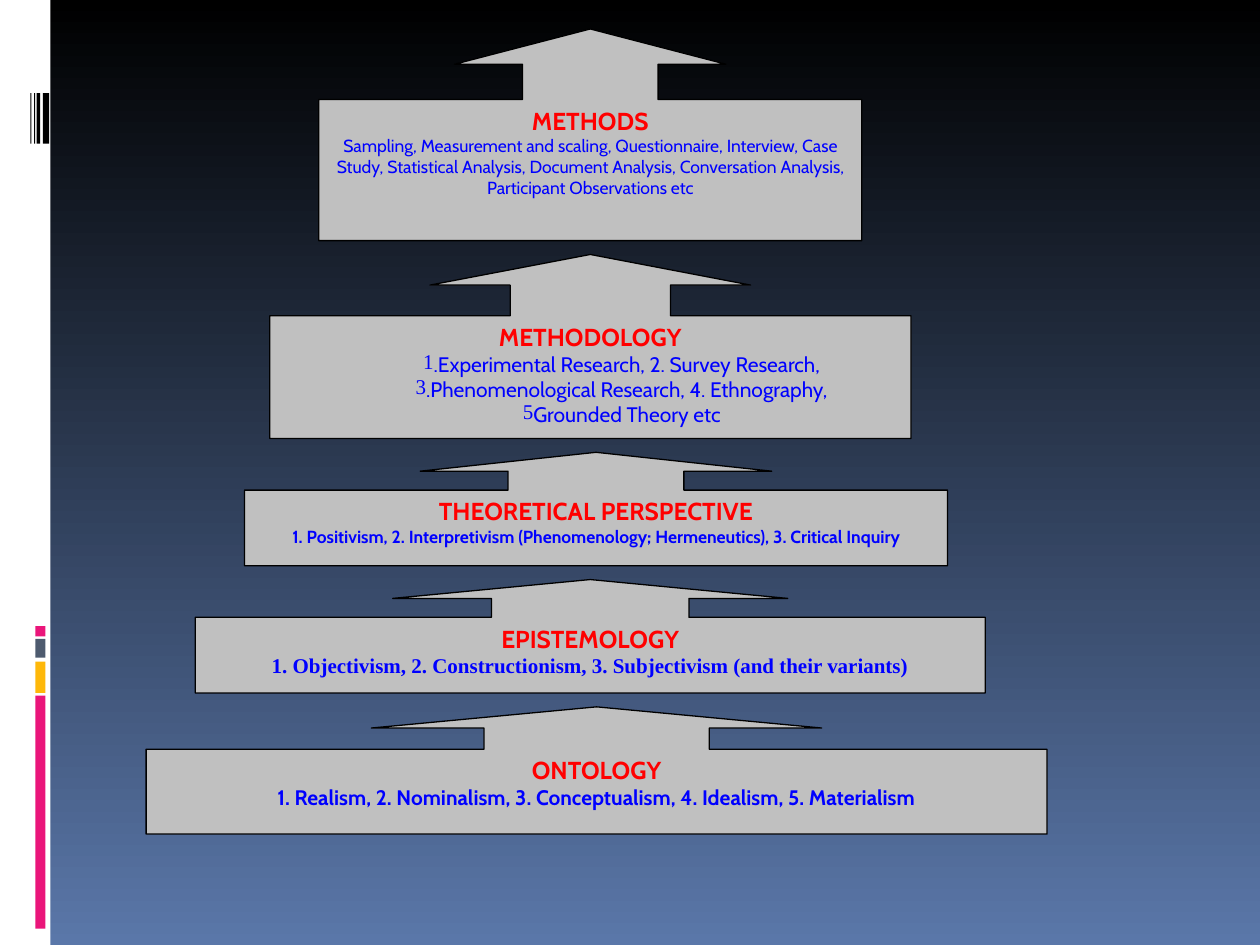
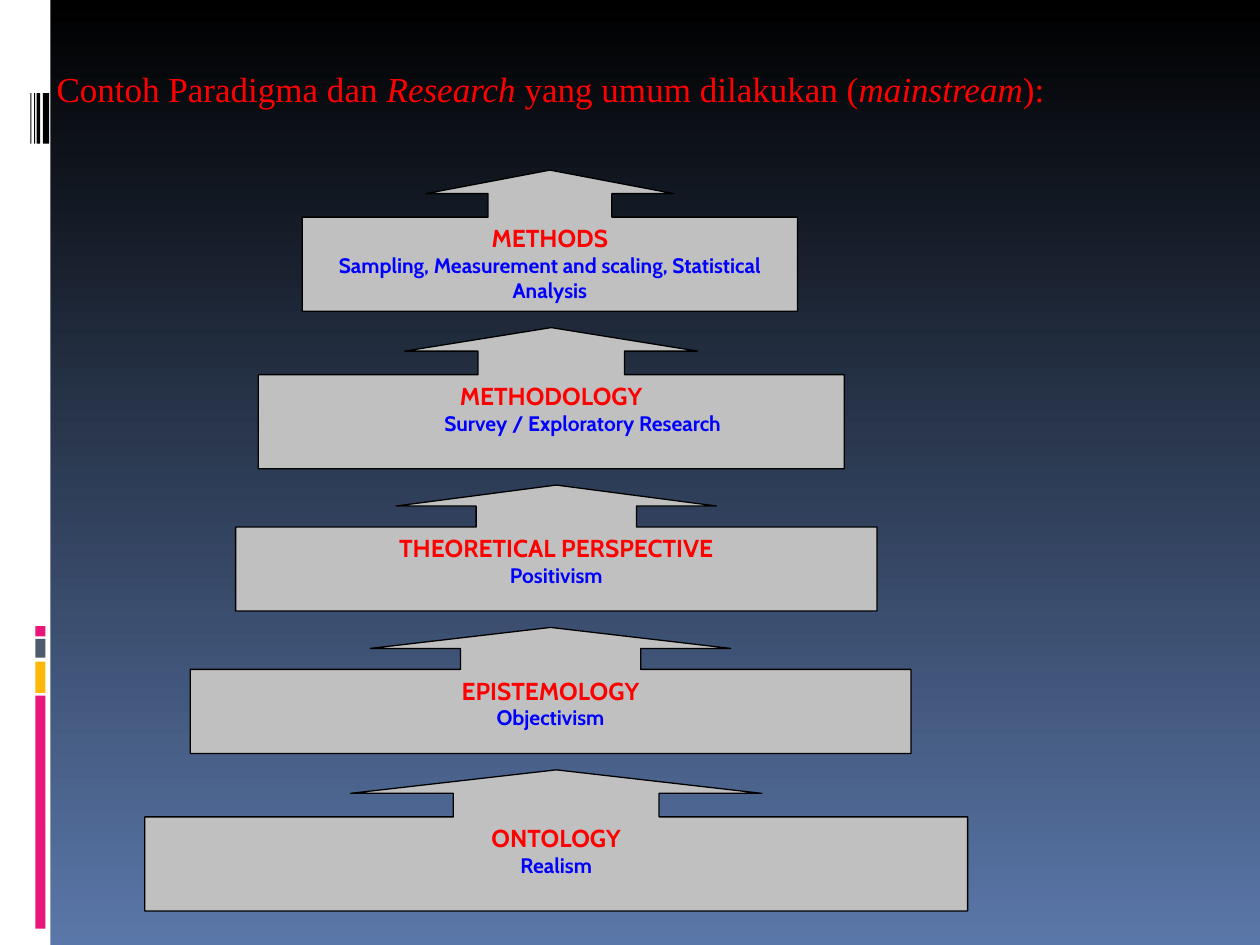
from dataclasses import dataclass
from typing import NamedTuple

from lxml import etree
from pptx import Presentation
from pptx.dml.color import RGBColor
from pptx.enum.shapes import MSO_SHAPE
from pptx.enum.text import MSO_ANCHOR, PP_ALIGN
from pptx.oxml.ns import qn
from pptx.util import Inches, Pt

RECTANGLE = MSO_SHAPE.RECTANGLE
UP_ARROW_CALLOUT = MSO_SHAPE.UP_ARROW_CALLOUT
TOP, BOTTOM = MSO_ANCHOR.TOP, MSO_ANCHOR.BOTTOM
CENTER, LEFT = PP_ALIGN.CENTER, PP_ALIGN.LEFT

BLACK = RGBColor(0x00, 0x00, 0x00)
WHITE = RGBColor(0xFF, 0xFF, 0xFF)
SKY = RGBColor(0x5A, 0x77, 0xA9)
PINK = RGBColor(0xEA, 0x15, 0x7A)
AMBER = RGBColor(0xFE, 0xB8, 0x0A)
SLATE = RGBColor(0x4E, 0x5B, 0x6F)
SILVER = RGBColor(0xC0, 0xC0, 0xC0)
RED = RGBColor(0xFF, 0x00, 0x00)
BLUE = RGBColor(0x00, 0x00, 0xFF)

SANS = "Cabin"
SERIF = "Times New Roman"


class Band(NamedTuple):
    left: float
    top: float
    width: float
    height: float
    color: RGBColor


class Detail(NamedTuple):
    text: str
    size: float = 12
    bold: bool = True
    font: str = SANS
    indent: float = 0
    bullet: str = ""


@dataclass
class Layer:
    heading: str
    left: float
    width: float
    height: float
    details: list[Detail]


BANDS = [
    Band(0, 0, 0.4, 7.5, WHITE),
    Band(0.28, 5.52, 0.08, 1.85, PINK),
    Band(0.28, 5.25, 0.08, 0.25, AMBER),
    Band(0.28, 5.07, 0.08, 0.15, SLATE),
    Band(0.28, 4.97, 0.08, 0.08, PINK),
] + [
    Band(left, 0.74, width, 0.4, BLACK)
    for left, width in ((0.34, 0.05), (0.29, 0.03), (0.27, 0.01), (0.24, 0.01))
]

OVERVIEW = [
    Layer("METHODS", 2.53, 4.31, 1.68, [
        Detail("Sampling, Measurement and scaling, Questionnaire, Interview, Case Study, "
               "Statistical Analysis, Document Analysis, Conversation Analysis, "
               "Participant Observations etc", size=10, bold=False)]),
    Layer("METHODOLOGY", 2.14, 5.09, 1.46, [
        Detail(text, bold=False, indent=0.5, bullet=bullet)
        for bullet, text in (
            ("1", ".Experimental Research, 2. Survey Research,"),
            ("3", ".Phenomenological Research, 4. Ethnography,"),
            ("5", "Grounded Theory etc"))]),
    Layer("THEORETICAL PERSPECTIVE", 1.94, 5.58, 0.9, [
        Detail("1. Positivism, 2. Interpretivism (Phenomenology; Hermeneutics), "
               "3. Critical Inquiry", size=10)]),
    Layer("EPISTEMOLOGY", 1.55, 6.27, 0.9, [
        Detail("1. Objectivism, 2. Constructionism, 3. Subjectivism (and their variants)",
               font=SERIF)]),
    Layer("ONTOLOGY", 1.16, 7.15, 1.01, [
        Detail("1. Realism, 2. Nominalism, 3. Conceptualism, 4. Idealism, 5. Materialism")]),
]

MAINSTREAM = [
    Layer("METHODS", 2.4, 3.93, 1.12, [
        Detail("Sampling, Measurement and scaling, Statistical Analysis")]),
    Layer("METHODOLOGY", 2.05, 4.65, 1.12, [
        Detail("Survey / Exploratory Research", indent=0.5)]),
    Layer("THEORETICAL PERSPECTIVE", 1.87, 5.09, 1, [Detail("Positivism")]),
    Layer("EPISTEMOLOGY", 1.51, 5.72, 1, [Detail("Objectivism")]),
    Layer("ONTOLOGY", 1.15, 6.53, 1.12, [Detail("Realism")]),
]

TITLE = [
    ("Contoh Paradigma dan ", False),
    ("Research", True),
    (" yang umum dilakukan (", False),
    ("mainstream", True),
    ("):", False),
]


def write(para, text: str, *, size: float, color: RGBColor, font: str = SANS,
          bold: bool = False, italic: bool = False, align=CENTER) -> None:
    para.alignment = align
    span = para.add_run()
    span.text = text
    span.font.size = Pt(size)
    span.font.name = font
    span.font.bold = bold
    span.font.italic = italic
    span.font.color.rgb = color


def set_indent(para, indent: float, bullet: str) -> None:
    properties = para._p.get_or_add_pPr()
    properties.set("marL", str(Inches(indent)))
    properties.set("indent", "0")
    if bullet:
        properties.set("lvl", "1")
        bullet_color = etree.SubElement(properties, qn("a:buClr"))
        etree.SubElement(bullet_color, qn("a:srgbClr"), val=str(BLUE))
        etree.SubElement(properties, qn("a:buChar"), char=bullet)


def add_solid(page, kind, left: float, top: float, width: float, height: float,
              color: RGBColor):
    shape = page.shapes.add_shape(kind, Inches(left), Inches(top),
                                  Inches(width), Inches(height))
    shape.shadow.inherit = False
    shape.fill.solid()
    shape.fill.fore_color.rgb = color
    shape.line.fill.background()
    return shape


def add_page(deck):
    page = deck.slides.add_slide(deck.slide_layouts[6])
    fill = page.background.fill
    fill.gradient()
    fill.gradient_angle = 270
    for stop, color in zip(fill.gradient_stops, (BLACK, SKY)):
        stop.color.rgb = color
    for band in BANDS:
        add_solid(page, RECTANGLE, *band)
    return page


def add_layer(page, layer: Layer, top: float) -> None:
    box = add_solid(page, UP_ARROW_CALLOUT, layer.left, top,
                    layer.width, layer.height, SILVER)
    box.line.color.rgb = BLACK
    box.line.width = Pt(0.75)
    quarter = layer.width / layer.height / 4
    for index, value in enumerate((quarter, quarter, 1 / 6, 2 / 3)):
        box.adjustments[index] = value
    frame = box.text_frame
    frame.word_wrap = True
    frame.vertical_anchor = TOP
    write(frame.paragraphs[0], layer.heading, size=14, color=RED, bold=True)
    for detail in layer.details:
        para = frame.add_paragraph()
        if detail.indent:
            set_indent(para, detail.indent, detail.bullet)
        write(para, detail.text, size=detail.size, color=BLUE,
              font=detail.font, bold=detail.bold)


def add_stack(page, layers: list[Layer], top: float, gap: float) -> None:
    for layer in layers:
        add_layer(page, layer, top)
        top += layer.height + gap


def add_title(page) -> None:
    box = page.shapes.add_textbox(Inches(0.35), Inches(0.21), Inches(8.28), Inches(0.71))
    frame = box.text_frame
    frame.word_wrap = True
    frame.vertical_anchor = BOTTOM
    for text, italic in TITLE:
        write(frame.paragraphs[0], text, size=20, color=RED, font=SERIF,
              italic=italic, align=LEFT)


def main() -> None:
    deck = Presentation()
    deck.slide_width = Inches(10)
    deck.slide_height = Inches(7.5)
    add_stack(add_page(deck), OVERVIEW, top=0.23, gap=0.11)
    mainstream_page = add_page(deck)
    add_title(mainstream_page)
    add_stack(mainstream_page, MAINSTREAM, top=1.35, gap=0.13)
    deck.save("out.pptx")


if __name__ == "__main__":
    main()
